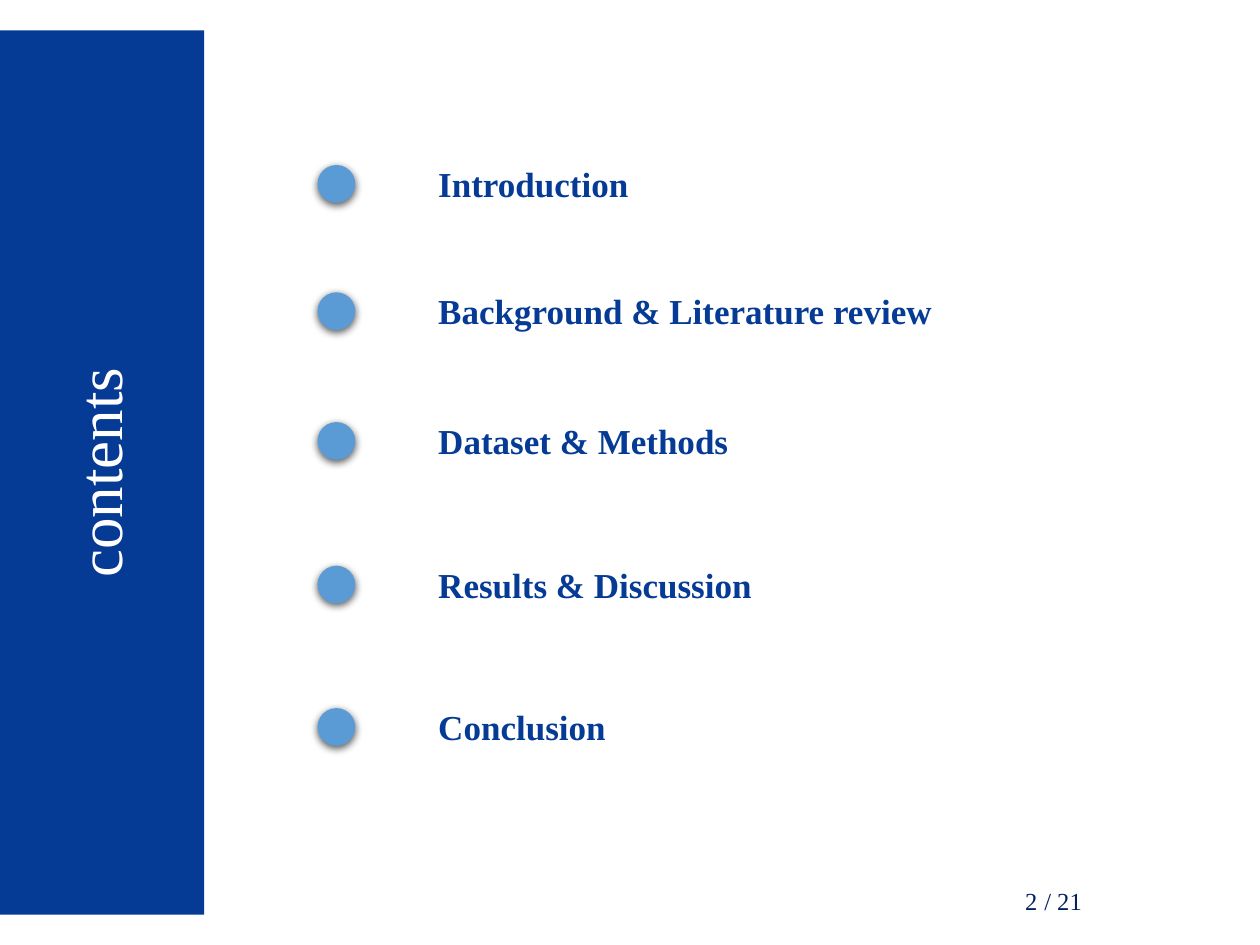
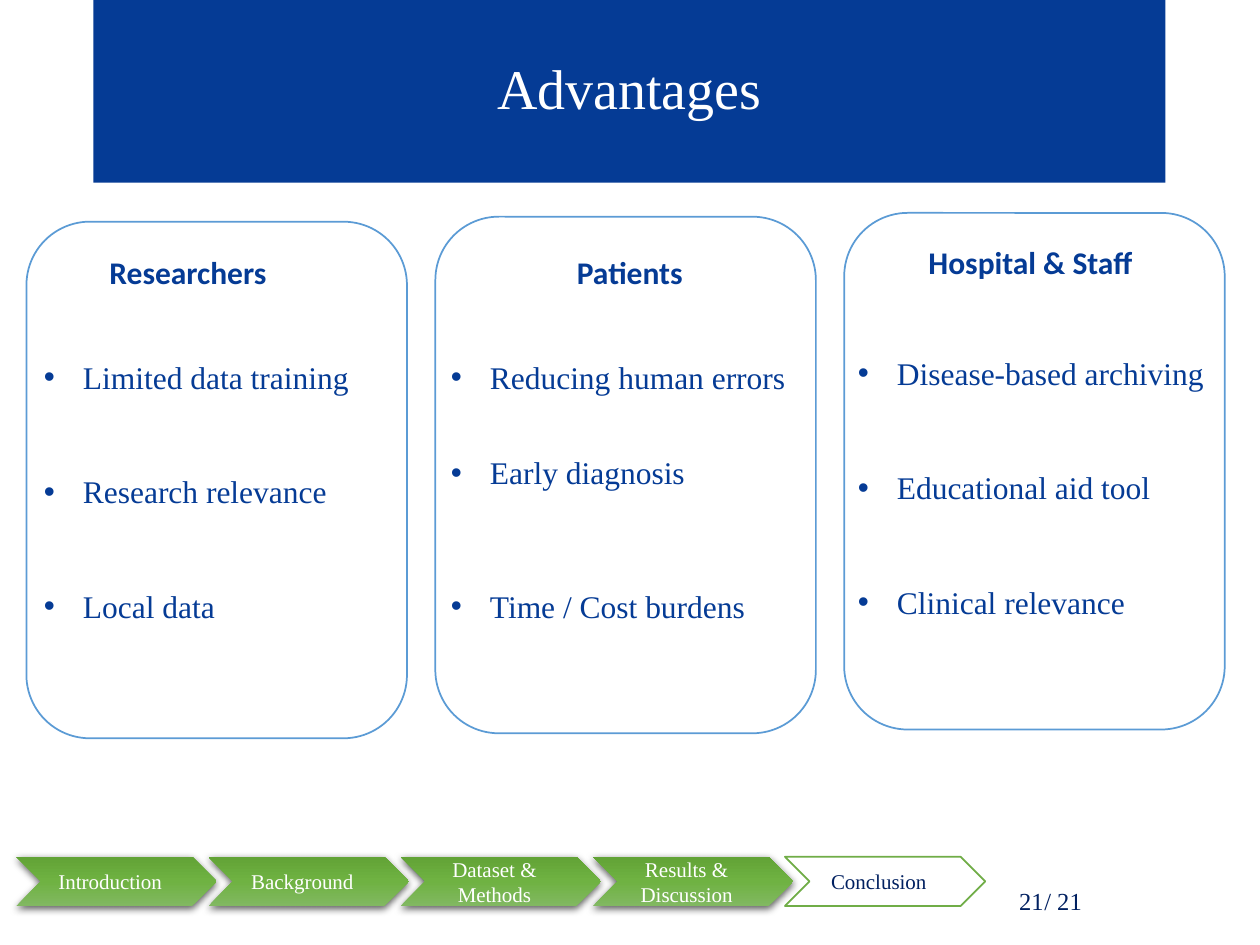
from copy import deepcopy

from lxml.etree import SubElement
from pptx import Presentation
from pptx.dml.color import RGBColor
from pptx.enum.shapes import MSO_SHAPE as SHAPE
from pptx.enum.text import MSO_ANCHOR as ANCHOR, MSO_AUTO_SIZE as AUTO, PP_ALIGN as ALIGN
from pptx.oxml.ns import qn
from pptx.util import Inches, Pt

BLUE = RGBColor(0x05, 0x3B, 0x95)
NAVY = RGBColor(0x00, 0x20, 0x60)
SKY = RGBColor(0x5B, 0x9B, 0xD5)
GREEN = RGBColor(0x70, 0xAD, 0x47)
WHITE = RGBColor(0xFF, 0xFF, 0xFF)
STEP_GRADIENT = [
    (0, RGBColor(0x81, 0xB8, 0x61)),
    (0.5, RGBColor(0x6F, 0xB2, 0x42)),
    (1, RGBColor(0x62, 0xA3, 0x36)),
]
SERIF, SANS = "Times New Roman", "Calibri"
TOTAL = 21

CONTENTS = [
    ("Introduction", 1.31),
    ("Background & Literature review", 2.32),
    ("Dataset & Methods", 3.35),
    ("Results & Discussion", 4.49),
    ("Conclusion", 5.62),
]
DOT_LEFT, DOT_SIZE, LABEL_LEFT = 2.52, 0.3, 3.38

CARDS = [
    dict(heading="Researchers", heading_at=(0.77, 1.96), top=1.76, list_at=(0.25, 2.64),
         items=[("Limited data training", 1.5, 0), ("Research relevance", 1.5, 33),
                ("Local data", 1.5, 33)]),
    dict(heading="Patients", heading_at=(4.48, 1.96), top=1.72, list_at=(3.48, 2.64),
         items=[("Reducing human errors", 1.5, 0), ("Early diagnosis", 1, 33),
                ("Time / Cost burdens", 1.5, 44)]),
    dict(heading="Hospital & Staff", heading_at=(7.27, 1.88), top=1.69, list_at=(6.71, 2.61),
         items=[("Disease-based archiving", 1.5, 0), ("Educational aid tool", 1.5, 33),
                ("Clinical relevance", 1.5, 33)]),
]
CARD_LEFT, CARD_PITCH, CARD_W, CARD_H = 0.21, 3.245, 3.02, 4.1

STEPS = ["Introduction", "Background", "Dataset & Methods", "Results & Discussion", "Conclusion"]
STEP_LEFT, STEP_TOP, STEP_PITCH, STEP_W, STEP_H = 0.13, 6.8, 1.525, 1.59, 0.39


def write(p, text, size=18, font=SERIF, color=BLUE, bold=False, align=None, spacing=1, before=0):
    p.alignment = align
    p.line_spacing = spacing
    p.space_before = Pt(before)
    r = p.add_run()
    r.text = text
    r.font.size = Pt(size)
    r.font.name = font
    r.font.bold = bold
    r.font.color.rgb = color


def add_text(s, text, left, top, width, height, anchor=ANCHOR.TOP, pad=0.05, **fmt):
    tf = s.shapes.add_textbox(*map(Inches, (left, top, width, height))).text_frame
    tf.word_wrap = True
    tf.vertical_anchor = anchor
    tf.margin_top = tf.margin_bottom = Inches(pad)
    if text:
        write(tf.paragraphs[0], text, **fmt)
    return tf


def add_bullet(p):
    pPr = p._p.get_or_add_pPr()
    pPr.set("marL", str(Inches(0.31)))
    pPr.set("indent", str(-Inches(0.31)))
    SubElement(pPr, qn("a:buFont"), typeface="Arial")
    SubElement(pPr, qn("a:buChar"), char="•")


def add_shadow(sp):
    effects = sp._element.spPr.find(qn("a:effectLst"))
    shadow = SubElement(effects, qn("a:outerShdw"), blurRad=str(Pt(4.5)), dist=str(Pt(1.5)),
                        dir="5400000", algn="ctr", rotWithShape="0")
    color = SubElement(shadow, qn("a:srgbClr"), val="000000")
    SubElement(color, qn("a:alpha"), val="63000")


def add_gradient(sp):
    sp.fill.gradient()
    sp.fill.gradient_angle = 90
    stops = sp._element.spPr.find(".//" + qn("a:gsLst"))
    stops.insert(1, deepcopy(stops[0]))
    for stop, (position, color) in zip(sp.fill.gradient_stops, STEP_GRADIENT):
        stop.position = position
        stop.color.rgb = color


def add_shape(s, kind, left, top, width, height, fill=WHITE, line=None):
    sp = s.shapes.add_shape(kind, *map(Inches, (left, top, width, height)))
    sp.shadow.inherit = False
    sp.fill.solid()
    sp.fill.fore_color.rgb = fill
    if line is None:
        sp.line.fill.background()
    else:
        sp.line.color.rgb = line
        sp.line.width = Pt(1)
    return sp


def new_slide(prs, title, band, size, page, slash, rotation=0):
    s = prs.slides.add_slide(prs.slide_layouts[5])
    sp = s.shapes.title
    sp.left, sp.top, sp.width, sp.height = map(Inches, band)
    sp.rotation = rotation
    sp.fill.solid()
    sp.fill.fore_color.rgb = BLUE
    tf = sp.text_frame
    tf.auto_size = AUTO.NONE
    tf.vertical_anchor = ANCHOR.MIDDLE
    write(tf.paragraphs[0], title, size=size, color=WHITE, align=ALIGN.CENTER, spacing=0.9)
    add_text(s, slash, 8.19, 6.98, 0.7, 0.34, size=14, color=NAVY)
    add_text(s, str(page), 7.06, 6.95, 2.25, 0.4, ANCHOR.MIDDLE,
             size=14, color=NAVY, align=ALIGN.CENTER)
    return s


def add_steps(s, current):
    for i, step in enumerate(STEPS):
        left = STEP_LEFT + i * STEP_PITCH
        active = step == current
        sp = add_shape(s, SHAPE.CHEVRON, left, STEP_TOP, STEP_W, STEP_H,
                       line=GREEN if active else None)
        if not active:
            add_gradient(sp)
            add_shadow(sp)
        add_text(s, step, left + 0.11, STEP_TOP, 1.27, STEP_H, ANCHOR.MIDDLE, pad=0,
                 size=12, color=NAVY if active else WHITE, align=ALIGN.CENTER)


def contents_slide(prs):
    s = new_slide(prs, "contents", (-2.7, 2.94, 7.02, 1.62), 36, 2, f"/ {TOTAL}", rotation=270)
    for label, top in CONTENTS:
        add_shadow(add_shape(s, SHAPE.OVAL, DOT_LEFT, top, DOT_SIZE, DOT_SIZE, fill=SKY))
        add_text(s, label, LABEL_LEFT, top - 0.07, 4.5, 0.44, size=20, bold=True)


def advantages_slide(prs):
    s = new_slide(prs, "Advantages", (0.74, 0, 8.51, 1.45), 32, TOTAL, f"/ {TOTAL}")
    add_steps(s, "Conclusion")
    for i, card in enumerate(CARDS):
        add_shape(s, SHAPE.ROUNDED_RECTANGLE, CARD_LEFT + i * CARD_PITCH, card["top"],
                  CARD_W, CARD_H, line=SKY)
        add_text(s, card["heading"], *card["heading_at"], 1.85, 0.4, font=SANS, bold=True)
        tf = add_text(s, "", *card["list_at"], CARD_W, 2.32)
        for n, (item, spacing, before) in enumerate(card["items"]):
            p = tf.add_paragraph() if n else tf.paragraphs[0]
            add_bullet(p)
            write(p, item, align=ALIGN.JUSTIFY, spacing=spacing, before=before)


def main():
    prs = Presentation()
    prs.slide_width, prs.slide_height = Inches(10), Inches(7.5)
    contents_slide(prs)
    advantages_slide(prs)
    prs.save("out.pptx")


if __name__ == "__main__":
    main()
